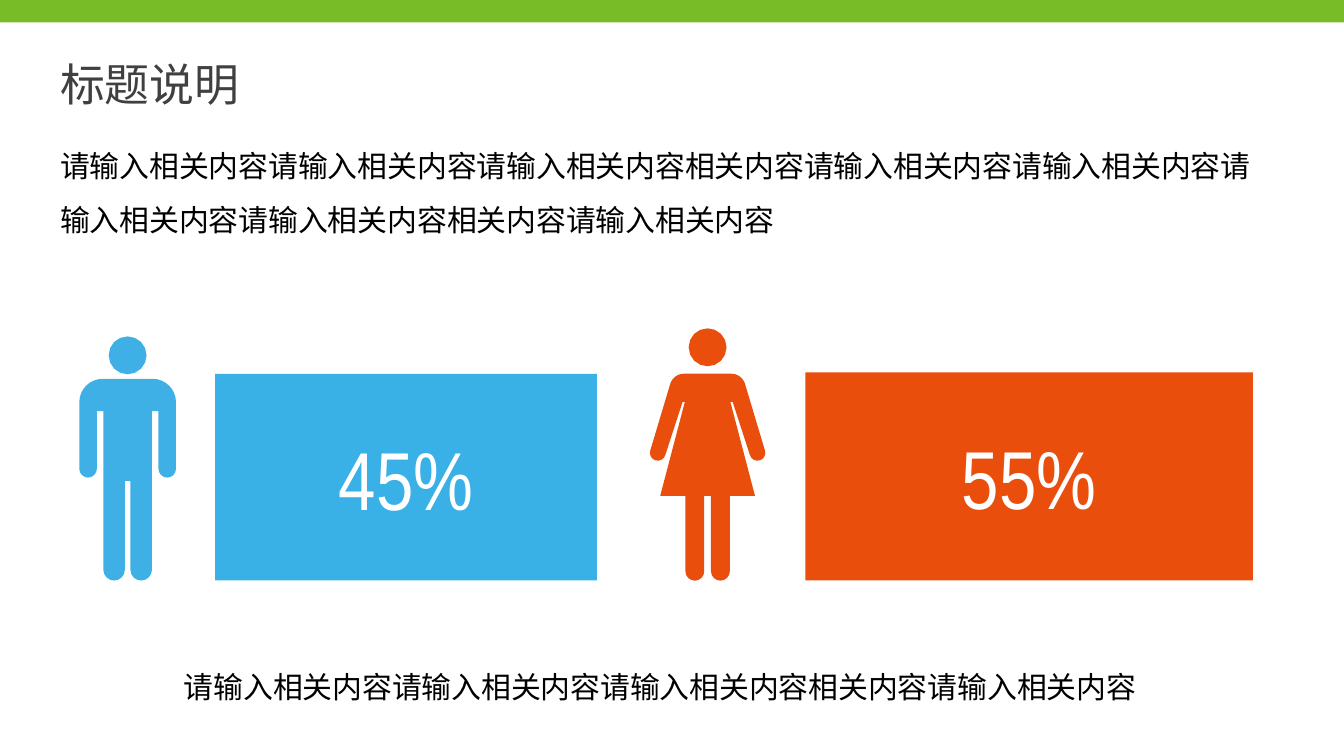
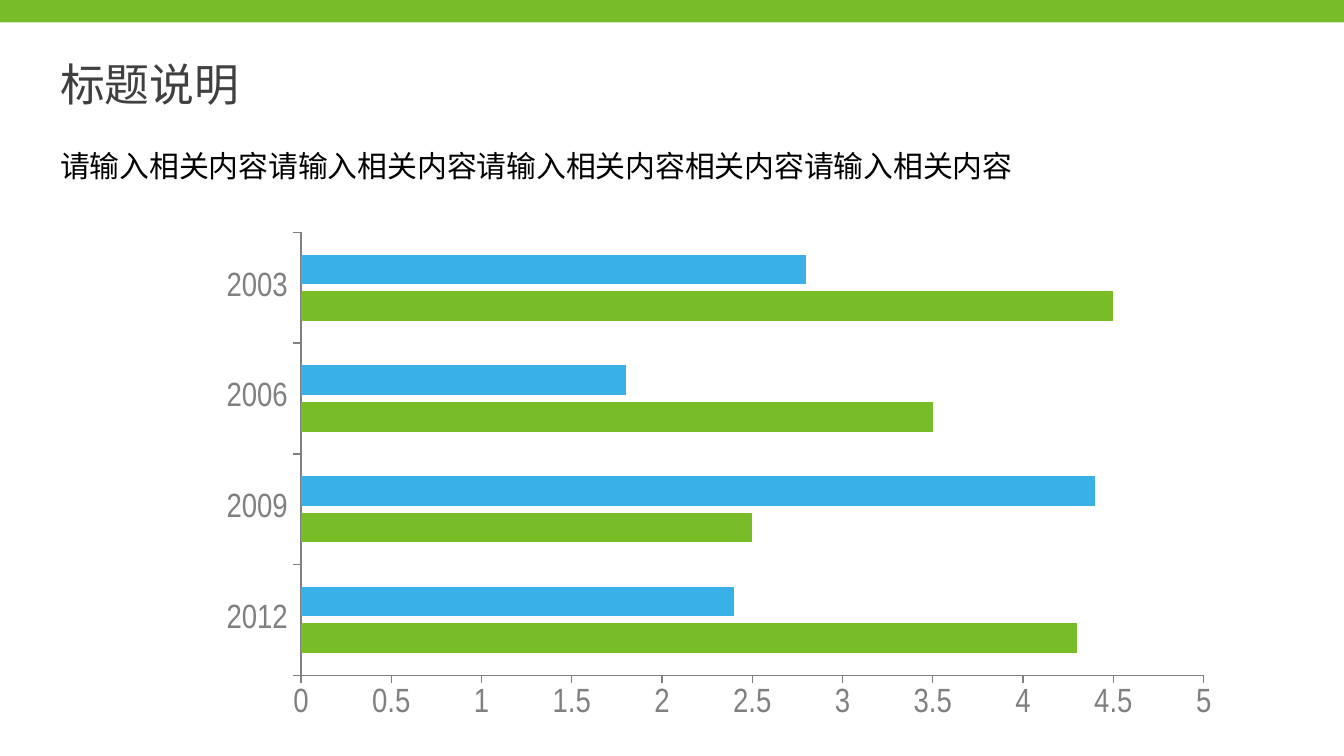
"""Build two slides: a gender comparison and a clustered bar chart."""
import math

from lxml import etree
from pptx import Presentation
from pptx.chart.data import CategoryChartData
from pptx.dml.color import RGBColor
from pptx.enum.chart import XL_CHART_TYPE, XL_TICK_MARK
from pptx.enum.shapes import MSO_SHAPE
from pptx.enum.text import MSO_ANCHOR, PP_ALIGN
from pptx.oxml.ns import qn
from pptx.util import Pt

RECTANGLE = MSO_SHAPE.RECTANGLE
BAR_CLUSTERED = XL_CHART_TYPE.BAR_CLUSTERED
TICK_OUTSIDE = XL_TICK_MARK.OUTSIDE
MIDDLE, TOP = MSO_ANCHOR.MIDDLE, MSO_ANCHOR.TOP
LEFT, CENTER = PP_ALIGN.LEFT, PP_ALIGN.CENTER

COLORS = {
    "green": "78BC28",
    "blue": "39B0E6",
    "man": "3FB0E6",
    "orange": "E94E0C",
    "woman": "EA4E0C",
    "title": "404040",
    "body": "000000",
    "axis": "808080",
    "white": "FFFFFF",
}
TITLE_FONT, BODY_FONT, NUMBER_FONT = "Noto Sans CJK SC", "Calibri", "Arial Narrow"
SLIDE_WIDTH, SLIDE_HEIGHT = 720, 405
TEXT_LEFT, TEXT_WIDTH = 25.2, 657.4
BODY_TOP = 66.2
TITLE = "标题说明"
SHORT_TEXT = "请输入相关内容请输入相关内容请输入相关内容相关内容请输入相关内容"
LONG_TEXT = (
    "请输入相关内容请输入相关内容请输入相关内容相关内容请输入相关内容"
    "请输入相关内容请输入相关内容请输入相关内容相关内容请输入相关内容"
)


def color(name):
    """Return the named colour."""
    return RGBColor.from_string(COLORS[name])


def paint(shape, fill):
    """Give a shape a flat fill without line or shadow."""
    shape.shadow.inherit = False
    shape.fill.solid()
    shape.fill.fore_color.rgb = color(fill)
    shape.line.fill.background()


def write(shape, text, size=16, font=BODY_FONT, fill="body", align=LEFT,
          anchor=TOP, line_spacing=1.0):
    """Write one formatted paragraph into a shape."""
    frame = shape.text_frame
    frame.word_wrap = True
    frame.vertical_anchor = anchor
    paragraph = frame.paragraphs[0]
    paragraph.alignment = align
    paragraph.line_spacing = line_spacing
    run = paragraph.add_run()
    run.text = text
    run.font.size = Pt(size)
    run.font.name = font
    run.font.color.rgb = color(fill)
    east_asian = etree.SubElement(run.font._element, qn("a:ea"))
    east_asian.set("typeface", font)


def add_rectangle(slide, left, top, width, height, fill):
    """Add a flat rectangle."""
    shape = slide.shapes.add_shape(RECTANGLE, Pt(left), Pt(top), Pt(width), Pt(height))
    paint(shape, fill)
    return shape


def add_text(slide, text, top, height, width=TEXT_WIDTH, **text_format):
    """Add a text box at the common left edge."""
    box = slide.shapes.add_textbox(Pt(TEXT_LEFT), Pt(top), Pt(width), Pt(height))
    write(box, text, **text_format)


def add_content_slide(presentation):
    """Add a blank slide with the shared band and title."""
    slide = presentation.slides.add_slide(presentation.slide_layouts[6])
    add_rectangle(slide, 0, 0, SLIDE_WIDTH, 12, "green")
    add_text(slide, TITLE, 26.6, 36, width=175.7, size=24, font=TITLE_FONT, fill="title")
    return slide


def arc(center_x, center_y, radius, start, end, steps=8):
    """Return points on an arc, with angles in degrees clockwise from the right."""
    angles = [math.radians(start + (end - start) * step / steps) for step in range(steps + 1)]
    return [(center_x + radius * math.cos(angle), center_y + radius * math.sin(angle))
            for angle in angles]


def man_half():
    """Return the right half of the man's body around its axis."""
    return [*arc(13.4, 215.5, 12.5, -90, 0), *arc(21.2, 251.2, 4.7, 0, 180),
            (16.5, 220.3), (13, 220.3), *arc(7.25, 305.3, 5.75, 0, 180), (1.5, 257.8)]


def woman_half():
    """Return the right half of the woman's body around its axis."""
    return [*arc(12.6, 208, 7.8, -90, -18), *arc(26.7, 242.6, 4.2, -17, 163),
            (13.4, 215.3), (12.2, 215.3), (25.4, 265.7), (11.9, 265.7),
            *arc(6.85, 306, 5.05, 0, 180), (1.8, 265.7)]


def add_outline(shapes, points, fill):
    """Add a closed freeform through the points."""
    corners = [(Pt(x), Pt(y)) for x, y in points]
    builder = shapes.build_freeform(*corners[0])
    builder.add_line_segments(corners[1:], close=True)
    paint(builder.convert_to_shape(), fill)


def add_person(slide, axis, head_y, half_body, fill):
    """Add a grouped figure that is symmetric about a vertical axis."""
    shapes = slide.shapes.add_group_shape().shapes
    body = [(axis + x, y) for x, y in half_body]
    body += [(axis - x, y) for x, y in reversed(half_body)]
    add_outline(shapes, body, fill)
    add_outline(shapes, arc(axis, head_y, 10.15, 0, 360, steps=16), fill)


def add_share(slide, text, left, top, width, fill):
    """Add a percentage block that stands on the figures' ground line."""
    shape = add_rectangle(slide, left, top, width, 311 - top, fill)
    write(shape, text, size=44, font=NUMBER_FONT, fill="white", align=CENTER, anchor=MIDDLE)


def format_axis(axis):
    """Give an axis its ticks, line and no gridlines."""
    axis.has_major_gridlines = False
    axis.major_tick_mark = TICK_OUTSIDE
    axis.format.line.color.rgb = color("axis")
    axis.format.line.width = Pt(0.75)


def set_plot_layout(chart, **position):
    """Fix the inner plot area as fractions of the chart."""
    plot_area = chart._chartSpace.chart.plotArea
    for old_layout in plot_area.findall(qn("c:layout")):
        plot_area.remove(old_layout)
    layout = etree.Element(qn("c:layout"))
    manual = etree.SubElement(layout, qn("c:manualLayout"))
    settings = {"layoutTarget": "inner", "xMode": "edge", "yMode": "edge", **position}
    for tag, value in settings.items():
        etree.SubElement(manual, qn(f"c:{tag}")).set("val", str(value))
    plot_area.insert(0, layout)


def add_bar_chart(slide):
    """Add the clustered bar chart by year."""
    data = CategoryChartData()
    data.categories = ["2012", "2009", "2006", "2003"]
    data.add_series("Series 1", [4.3, 2.5, 3.5, 4.5])
    data.add_series("Series 2", [2.4, 4.4, 1.8, 2.8])
    chart = slide.shapes.add_chart(
        BAR_CLUSTERED, Pt(99.4), Pt(113), Pt(562.3), Pt(289.4), data).chart
    chart.has_legend = False
    chart.has_title = False
    chart.font.size = Pt(18)
    chart.font.name = NUMBER_FONT
    chart.font.color.rgb = color("axis")
    plot = chart.plots[0]
    plot.gap_width = 150
    plot.overlap = -24
    plot.vary_by_categories = False
    for series, fill in zip(plot.series, ("green", "blue")):
        series.format.fill.solid()
        series.format.fill.fore_color.rgb = color(fill)
    format_axis(chart.category_axis)
    format_axis(chart.value_axis)
    chart.value_axis.minimum_scale = 0
    chart.value_axis.maximum_scale = 5
    chart.value_axis.major_unit = 0.5
    set_plot_layout(chart, x=0.11, y=0.04, w=0.86, h=0.82)


def build_comparison_slide(presentation):
    """Build the slide that compares men and women."""
    slide = add_content_slide(presentation)
    add_person(slide, 68.4, 190.4, man_half(), "man")
    add_share(slide, "55%", 431.5, 199.5, 239.8, "orange")
    add_share(slide, "45%", 115.3, 200.3, 204.5, "blue")
    add_person(slide, 379.1, 186.1, woman_half(), "woman")
    add_text(slide, LONG_TEXT, BODY_TOP, 65.5, line_spacing=1.5)
    add_text(slide, SHORT_TEXT, 344.9, 36, line_spacing=1.5, align=CENTER)


def build_chart_slide(presentation):
    """Build the slide with the bar chart."""
    slide = add_content_slide(presentation)
    add_bar_chart(slide)
    add_text(slide, SHORT_TEXT, BODY_TOP, 36, line_spacing=1.5)


def main():
    """Build and save the presentation."""
    presentation = Presentation()
    presentation.slide_width = Pt(SLIDE_WIDTH)
    presentation.slide_height = Pt(SLIDE_HEIGHT)
    build_comparison_slide(presentation)
    build_chart_slide(presentation)
    presentation.save("out.pptx")


if __name__ == "__main__":
    main()
